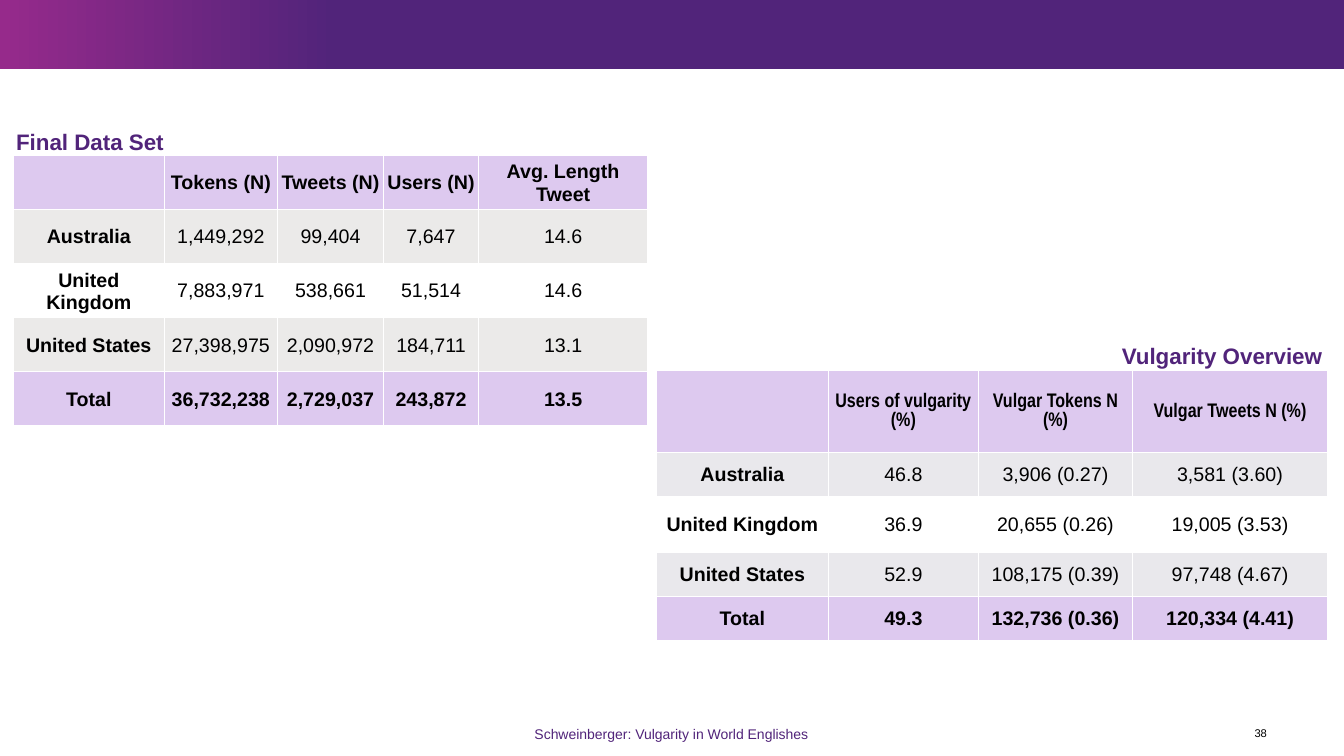
from lxml import etree
from pptx import Presentation
from pptx.dml.color import RGBColor
from pptx.enum import shapes, text
from pptx.oxml import ns
from pptx.util import Pt

COLORS = {
    "purple": "51247A", "magenta": "962A8B", "lilac": "DDC9EF",
    "warm_grey": "EBEAE9", "cool_grey": "E9E8EC",
    "white": "FFFFFF", "black": "000000",
}
SLIDE_W, SLIDE_H = 960, 540
ALIGN = text.PP_ALIGN

DATA_SET = [
    ["", "Tokens (N)", "Tweets (N)", "Users (N)", "Avg. Length Tweet"],
    ["Australia", "1,449,292", "99,404", "7,647", "14.6"],
    ["United Kingdom", "7,883,971", "538,661", "51,514", "14.6"],
    ["United States", "27,398,975", "2,090,972", "184,711", "13.1"],
    ["Total", "36,732,238", "2,729,037", "243,872", "13.5"],
]
VULGARITY = [
    ["", "Users of vulgarity (%)", "Vulgar Tokens N (%)", "Vulgar Tweets N (%)"],
    ["Australia", "46.8", "3,906 (0.27)", "3,581 (3.60)"],
    ["United Kingdom", "36.9", "20,655 (0.26)", "19,005 (3.53)"],
    ["United States", "52.9", "108,175 (0.39)", "97,748 (4.67)"],
    ["Total", "49.3", "132,736 (0.36)", "120,334 (4.41)"],
]


def rgb(name):
    return RGBColor.from_string(COLORS[name])


def format_runs(paragraph, size, color, bold=False, font="Arial"):
    for run in paragraph.runs:
        run.font.size = Pt(size)
        run.font.name = font
        run.font.bold = bold
        run.font.color.rgb = rgb(color)


def place_label(label, box, words, size, color, align, bold=False):
    """Fill a text box or placeholder with one line inside the given box."""
    label.left, label.top, label.width, label.height = map(Pt, box)
    frame = label.text_frame
    frame.text = words
    frame.word_wrap = True
    frame.auto_size = text.MSO_AUTO_SIZE.NONE
    frame.vertical_anchor = text.MSO_ANCHOR.MIDDLE
    frame.margin_left = frame.margin_right = frame.margin_top = frame.margin_bottom = 0
    line = frame.paragraphs[0]
    line.alignment = align
    format_runs(line, size, color, bold)
    return line


def add_label(slide, box, *style):
    return place_label(slide.shapes.add_textbox(*map(Pt, box)), box, *style)


def add_banner(slide, box):
    banner = slide.shapes.add_shape(shapes.MSO_SHAPE.RECTANGLE, *map(Pt, box))
    banner.shadow.inherit = False
    banner.line.fill.background()
    banner.fill.gradient()
    banner.fill.gradient_angle = 0
    stops = banner.fill.gradient_stops
    for stop, color, position in zip(stops, ("magenta", "purple"), (0, 0.25)):
        stop.color.rgb = rgb(color)
        stop.position = position


def add_borders(cell):
    properties = cell._tc.get_or_add_tcPr()
    for side in ("lnL", "lnR", "lnT", "lnB"):
        border = etree.SubElement(properties, ns.qn(f"a:{side}"), w=str(Pt(1)))
        solid = etree.SubElement(border, ns.qn("a:solidFill"))
        etree.SubElement(solid, ns.qn("a:srgbClr"), val=COLORS["white"])


def add_data_table(slide, left, top, rows, widths, heights, band, header_font):
    frame = slide.shapes.add_table(len(rows), len(widths), Pt(left), Pt(top),
                                   Pt(sum(widths)), Pt(sum(heights)))
    table = frame.table
    for column, width in zip(table.columns, widths):
        column.width = Pt(width)
    last = len(rows) - 1
    for r, values in enumerate(rows):
        table.rows[r].height = Pt(heights[r])
        emphasised = r in (0, last)
        fill = "lilac" if emphasised else band if r % 2 else "white"
        for c, value in enumerate(values):
            cell = table.cell(r, c)
            add_borders(cell)
            cell.fill.solid()
            cell.fill.fore_color.rgb = rgb(fill)
            cell.margin_left = cell.margin_right = cell.margin_top = Pt(0.7)
            cell.margin_bottom = 0
            cell.vertical_anchor = text.MSO_ANCHOR.MIDDLE
            cell.text_frame.text = value
            entry = cell.text_frame.paragraphs[0]
            entry.alignment = ALIGN.CENTER
            format_runs(entry, 14, "black", emphasised or c == 0,
                        "Arial" if r else header_font)


def add_footer(slide, top, height):
    credit = add_label(slide, (346.3, top, 266.4, height),
                       "Schweinberger: Vulgarity in World Englishes",
                       10, "purple", ALIGN.CENTER)
    credit.line_spacing = 1.1
    add_label(slide, (882.7, top, 22.3, height), "38", 8, "black", ALIGN.RIGHT)


def build_tables_slide(deck):
    slide = deck.slides.add_slide(deck.slide_layouts[5])
    add_banner(slide, (0, 0, SLIDE_W, 49.5))
    add_footer(slide, 514, 19)

    # Both tables
    add_data_table(slide, 9.6, 111.2, DATA_SET, [107.7, 81, 75.7, 67.9, 120.8],
                   [38.6] * 5, "warm_grey", "Arial")
    add_data_table(slide, 469, 264.7, VULGARITY, [122.6, 107.4, 110, 139.4],
                   [58.5, 31.5, 40, 31.5, 31.5], "cool_grey", "Arial Narrow")

    # Headings
    heading = place_label(slide.shapes.title, (11.5, 84.2, 357, 36.7),
                          "Final Data Set", 16, "purple", ALIGN.LEFT, True)
    overview = add_label(slide, (587.5, 236.9, 357, 36.7),
                         "Vulgarity Overview", 16, "purple", ALIGN.RIGHT, True)
    heading.line_spacing = overview.line_spacing = 0.9


def main():
    deck = Presentation()
    deck.slide_width, deck.slide_height = Pt(SLIDE_W), Pt(SLIDE_H)
    build_tables_slide(deck)
    deck.save("out.pptx")


if __name__ == "__main__":
    main()
